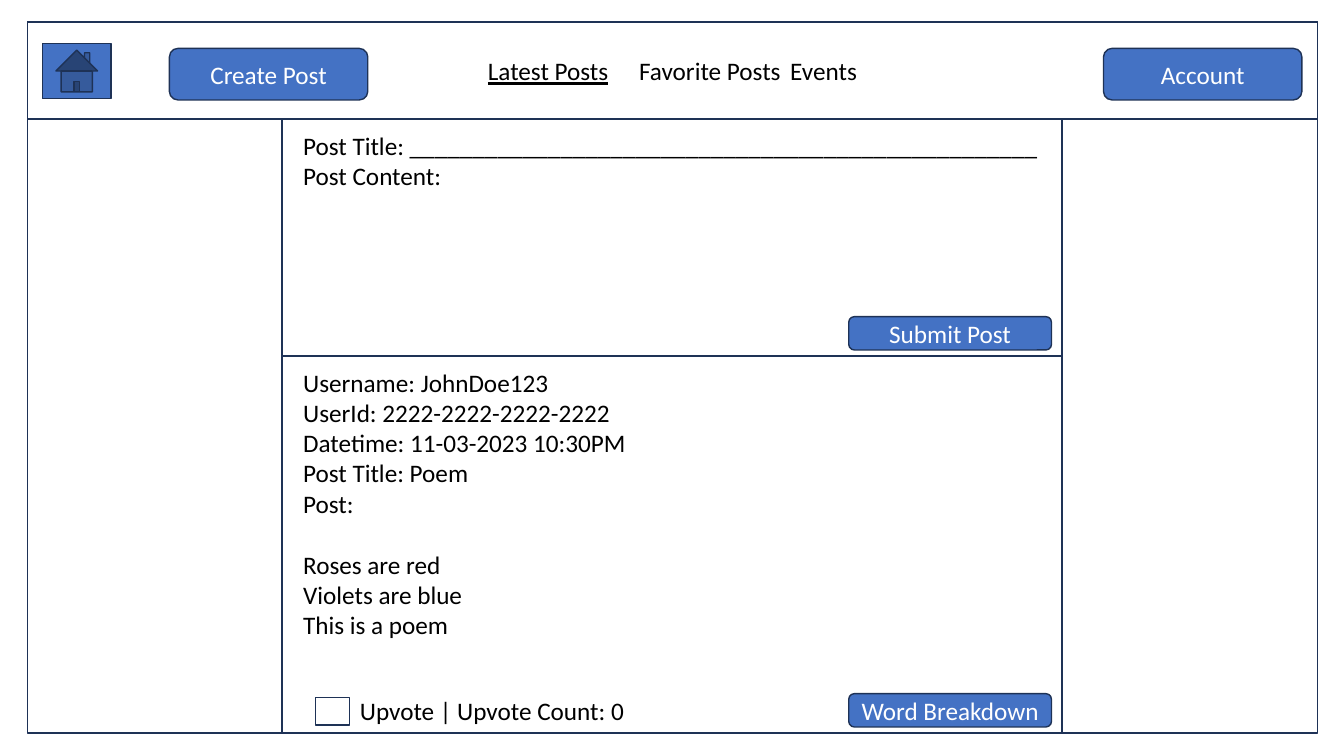
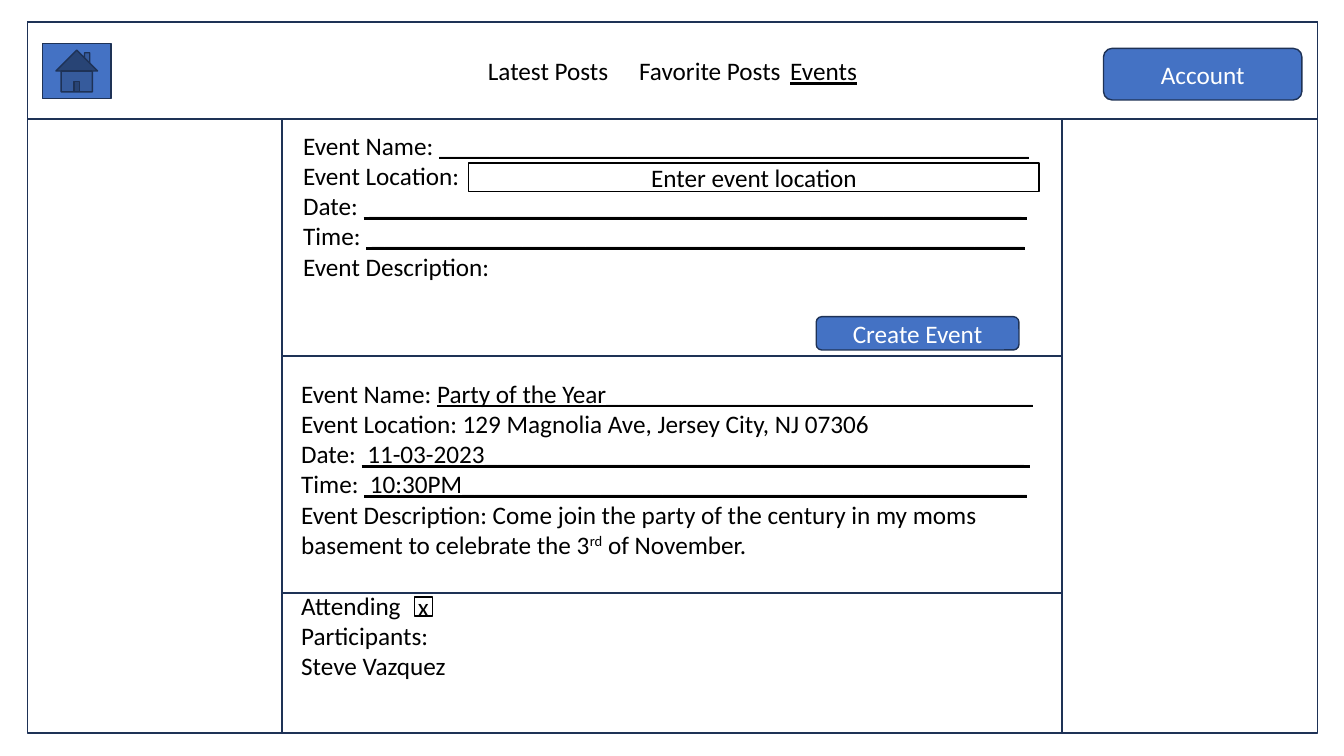
from pptx import Presentation
from pptx.dml.color import RGBColor
from pptx.enum.shapes import MSO_SHAPE
from pptx.enum.text import MSO_ANCHOR, PP_ALIGN
from pptx.util import Cm, Pt

COLORS = {"line": "1E3256", "button": "4472C4", "text": "000000", "white": "FFFFFF"}
FONT = "Calibri"
TEXT_SIZE = 18
LINE_HEIGHT = 22
FRAME_LEFT, FRAME_TOP, FRAME_WIDTH, FRAME_HEIGHT = 0.69, 0.56, 32.51, 17.91
HEADER_HEIGHT = 2.44
PANEL_LEFT, PANEL_WIDTH, PANEL_HEIGHT = 7.11, 19.66, 5.97
PANEL_TOP = FRAME_TOP + HEADER_HEIGHT
FRAME_BOTTOM = FRAME_TOP + FRAME_HEIGHT
SECOND_TOP = PANEL_TOP + PANEL_HEIGHT
THIRD_TOP = SECOND_TOP + PANEL_HEIGHT
TABS = ["Latest Posts", "Favorite Posts", "Events"]


def color(name):
    return RGBColor.from_string(COLORS[name])


class Wireframe:
    def __init__(self):
        self.presentation = Presentation()
        self.presentation.slide_width = Cm(33.87)
        self.presentation.slide_height = Cm(19.05)
        self.slide = None

    def add_lines(self, frame, lines, text_color="text", align=PP_ALIGN.LEFT, gaps=()):
        frame.word_wrap = True
        for index, line in enumerate(lines):
            paragraph = frame.paragraphs[0] if index == 0 else frame.add_paragraph()
            paragraph.alignment = align
            if index in gaps:
                paragraph.space_before = Pt(LINE_HEIGHT)
            for text, style in line:
                run = paragraph.add_run()
                run.text = text
                run.font.name = FONT
                run.font.size = Pt(TEXT_SIZE)
                run.font.color.rgb = color(text_color)
                run.font.underline = style == "underline"
                if style == "superscript":
                    run.font._element.set("baseline", "30000")

    def box(self, left, top, width, height, kind=MSO_SHAPE.RECTANGLE,
            fill=None, line="line", runs=None, text_color="text"):
        shape = self.slide.shapes.add_shape(kind, Cm(left), Cm(top), Cm(width), Cm(height))
        shape.shadow.inherit = False
        if fill:
            shape.fill.solid()
            shape.fill.fore_color.rgb = color(fill)
        else:
            shape.fill.background()
        shape.line.color.rgb = color(line)
        shape.line.width = Pt(1)
        if runs:
            shape.text_frame.vertical_anchor = MSO_ANCHOR.MIDDLE
            self.add_lines(shape.text_frame, [runs], text_color, PP_ALIGN.CENTER)
        return shape

    def button(self, label, left, top, width=5.11, height=0.84):
        self.box(left, top, width, height, MSO_SHAPE.ROUNDED_RECTANGLE, "button",
                 runs=[(label, "")], text_color="white")

    def header_button(self, label, left):
        self.button(label, left, 1.22, 5, 1.3)

    def panel(self, top, bottom):
        self.box(PANEL_LEFT, top, PANEL_WIDTH, bottom - top)

    def text(self, lines, left, top, width, height, gaps=()):
        shape = self.slide.shapes.add_textbox(Cm(left), Cm(top), Cm(width), Cm(height))
        self.add_lines(shape.text_frame, lines, gaps=gaps)
        return shape

    def page(self, active_tab, panel_tops):
        self.slide = self.presentation.slides.add_slide(self.presentation.slide_layouts[6])
        self.box(FRAME_LEFT, FRAME_TOP, FRAME_WIDTH, FRAME_HEIGHT)
        for top, bottom in zip(panel_tops, panel_tops[1:] + [FRAME_BOTTOM]):
            self.panel(top, bottom)
        runs = []
        for index, tab in enumerate(TABS):
            if index:
                runs.append(("\t", ""))
            runs.append((tab, "underline" if tab == active_tab else ""))
        self.box(FRAME_LEFT, FRAME_TOP, FRAME_WIDTH, HEADER_HEIGHT, runs=runs)
        self.box(1.07, 1.09, 1.73, 1.4, MSO_SHAPE.ACTION_BUTTON_HOME, "button")
        self.header_button("Account", 27.81)


def plain(*texts):
    return [[(text, "")] for text in texts]


def field(label, value):
    return [(label, ""), (value, "underline")]


wireframe = Wireframe()

wireframe.page("Latest Posts", [PANEL_TOP, SECOND_TOP])
wireframe.header_button("Create Post", 4.27)
wireframe.text(plain("Post Title: " + "_" * 50, "Post Content:"), 7.39, 3.15, 19.1, 4.11)
wireframe.button("Submit Post", 21.39, 7.98)
wireframe.text(
    plain("Username: JohnDoe123", "UserId: 2222-2222-2222-2222",
          "Datetime: 11-03-2023 10:30PM", "Post Title: Poem", "Post:",
          "Roses are red", "Violets are blue", "This is a poem"),
    7.39, 9.12, 19.1, 7.95, gaps=(5,))
upvote = wireframe.text(plain("Upvote | Upvote Count: 0"), PANEL_LEFT, 17.32, PANEL_WIDTH, 1.14)
upvote.text_frame.margin_left = Cm(1.96)
upvote.text_frame.vertical_anchor = MSO_ANCHOR.MIDDLE
wireframe.box(7.95, 17.58, 0.86, 0.69)
wireframe.button("Word Breakdown", 21.39, 17.48)

wireframe.page("Events", [PANEL_TOP, SECOND_TOP, THIRD_TOP])
wireframe.text(
    [field("Event Name: ", "_" * 47),
     *plain("Event Location: "),
     field("Date: ", " " + "_" * 52 + " "),
     field("Time: ", " " + "_" * 52),
     *plain("Event Description: ")],
    7.39, 3.15, 19.1, 4.11)
wireframe.box(11.81, 4.11, 14.38, 0.71, fill="white", line="text",
              runs=[("Enter event location", "")])
wireframe.button("Create Event", 20.57, 7.98)
wireframe.text(
    [field("Event Name: ", "Party of the Year" + "_" * 34),
     *plain("Event Location: 129 Magnolia Ave, Jersey City, NJ 07306"),
     field("Date: ", " 11-03-2023" + "_" * 43 + " "),
     field("Time: ", " 10:30PM" + "_" * 45),
     [("Event Description: Come join the party of the century in my moms "
       "basement to celebrate the 3", ""),
      ("rd", "superscript"), (" of November.", "")],
     *plain("Attending", "Participants:", "Steve Vazquez")],
    7.34, 9.4, 19.1, 7.95, gaps=(5,))
checkbox = wireframe.box(10.44, 15.04, 0.46, 0.48, line="text", runs=[("x", "")])
checkbox.text_frame.margin_left = checkbox.text_frame.margin_right = 0
checkbox.text_frame.margin_top = checkbox.text_frame.margin_bottom = 0

wireframe.presentation.save("out.pptx")
